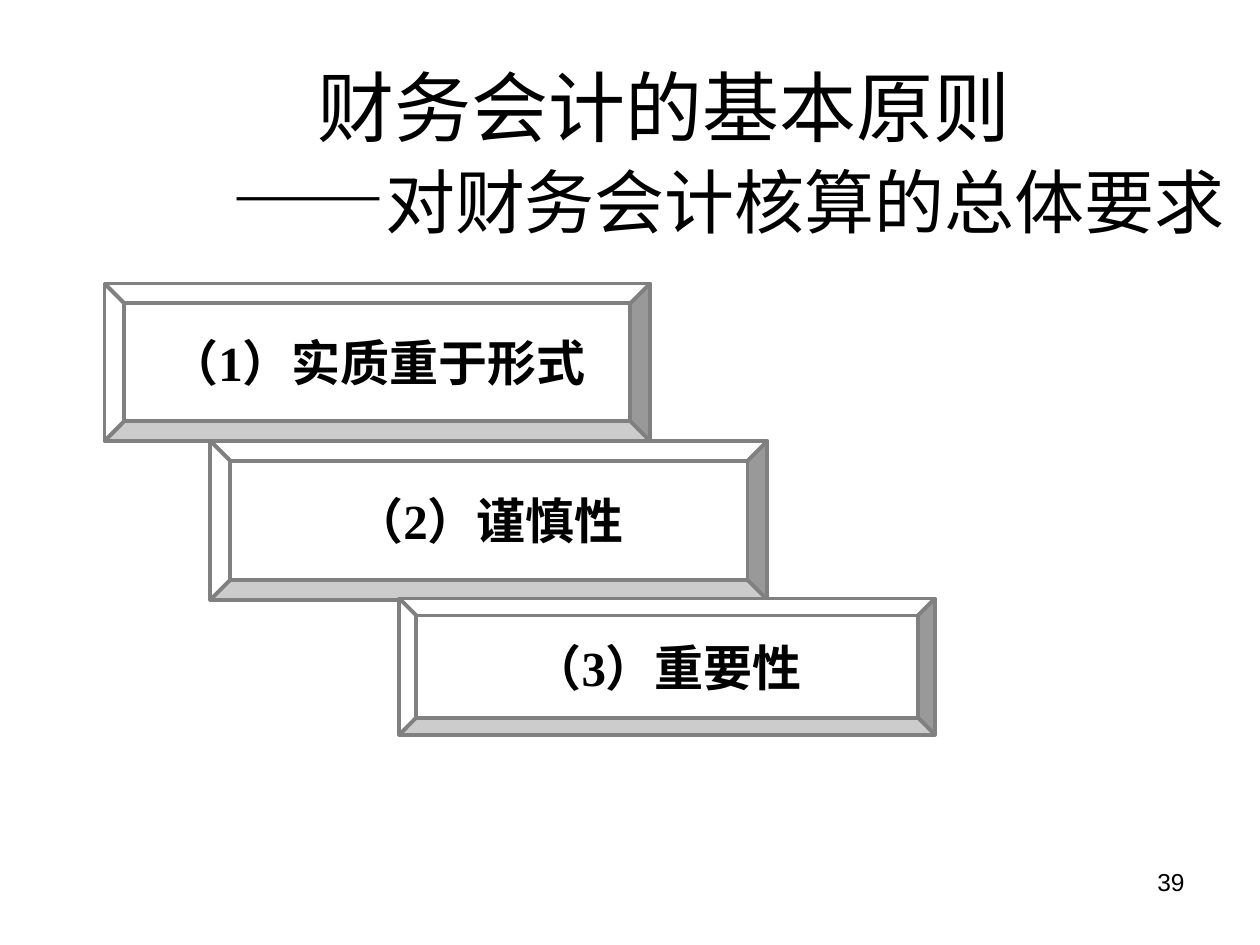
from dataclasses import dataclass

from pptx import Presentation
from pptx.dml.color import RGBColor
from pptx.enum.shapes import MSO_SHAPE as Shape
from pptx.enum.text import MSO_ANCHOR as Anchor, PP_ALIGN as Align
from pptx.util import Inches, Pt


@dataclass(frozen=True)
class Theme:
    ink: RGBColor = RGBColor(0, 0, 0)
    panel: RGBColor = RGBColor(255, 255, 255)
    border: RGBColor = RGBColor(128, 128, 128)
    border_width: int = Pt(2.25)
    heading_font: str = "Arial"
    panel_font: str = "Times New Roman"
    title_size: int = Pt(44)
    subtitle_size: int = Pt(40)
    panel_size: int = Pt(28)
    number_size: int = Pt(14)


class SlideBuilder:
    """Draws styled elements on the current slide."""

    def __init__(self, slide, theme):
        self.slide = slide
        self.theme = theme

    def add_runs(self, paragraph, runs, font_name, alignment, bold=False):
        paragraph.alignment = alignment
        for text, size in runs:
            run = paragraph.add_run()
            run.text = text
            run.font.color.rgb = self.theme.ink
            font_format = {"name": font_name, "size": size, "bold": bold}
            for name, value in font_format.items():
                setattr(run.font, name, value)

    def text_box(self, box, lines, alignment, anchor=Anchor.TOP):
        shape = self.slide.shapes.add_textbox(*map(Inches, box))
        frame = shape.text_frame
        frame.word_wrap = True
        frame.vertical_anchor = anchor
        for index, (runs, indent) in enumerate(lines):
            paragraph = frame.add_paragraph() if index else frame.paragraphs[0]
            if indent:
                paragraph._p.get_or_add_pPr().set("marL", str(Inches(indent)))
            self.add_runs(paragraph, runs, self.theme.heading_font, alignment)

    def bevel(self, box, text):
        shape = self.slide.shapes.add_shape(Shape.BEVEL, *map(Inches, box))
        shape.shadow.inherit = False
        shape.fill.solid()
        shape.fill.fore_color.rgb = self.theme.panel
        shape.line.color.rgb = self.theme.border
        shape.line.width = self.theme.border_width
        frame = shape.text_frame
        frame_format = {"word_wrap": False, "vertical_anchor": Anchor.MIDDLE}
        for name, value in frame_format.items():
            setattr(frame, name, value)
        self.add_runs(frame.paragraphs[0], [(text, self.theme.panel_size)],
                      self.theme.panel_font, Align.CENTER, bold=True)


def main():
    theme = Theme()
    presentation = Presentation()
    presentation.slide_width = Inches(10)
    presentation.slide_height = Inches(7.5)
    slide = presentation.slides.add_slide(presentation.slide_layouts[6])
    builder = SlideBuilder(slide, theme)

    builder.text_box((7.17, 6.83, 2.33, 0.52),
                     [([("39", theme.number_size)], 0)], Align.RIGHT)
    title_lines = [
        ([("财务会计的基本原则", theme.title_size)], 0),
        ([("——", theme.title_size),
          ("对财务会计核算的总体要求", theme.subtitle_size)], 1),
    ]
    builder.text_box((0.55, 0.42, 9.45, 1.57), title_lines,
                     Align.CENTER, Anchor.MIDDLE)
    principles = [
        ((1.67, 3.5, 4.42, 1.26), "（2）谨慎性"),
        ((3.17, 4.75, 4.25, 1.08), "（3）重要性"),
        ((0.83, 2.25, 4.33, 1.25), "（1）实质重于形式"),
    ]
    for box, text in principles:
        builder.bevel(box, text)

    presentation.save("out.pptx")


if __name__ == "__main__":
    main()
